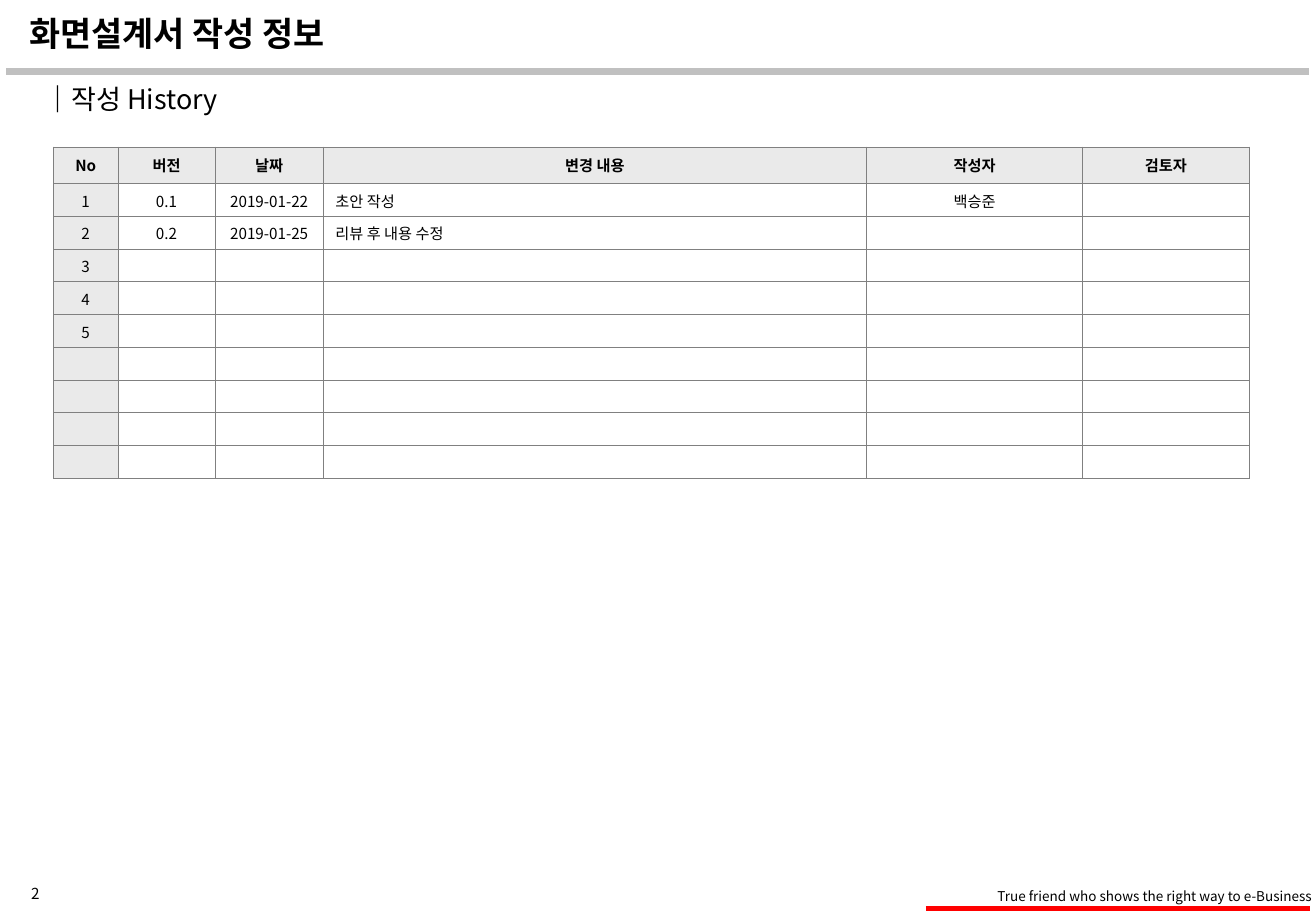
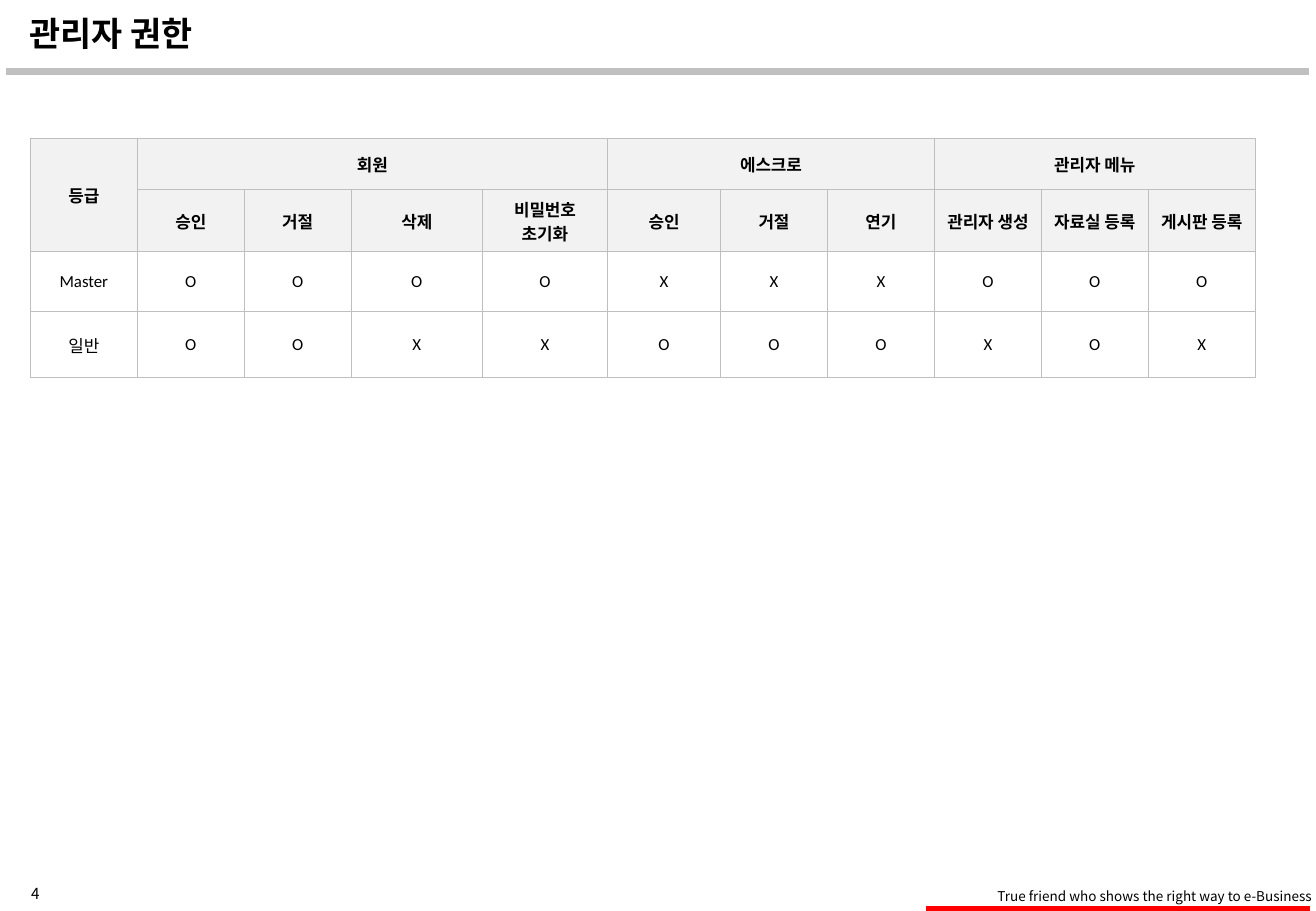
from dataclasses import dataclass

from lxml import etree
from pptx import Presentation
from pptx.dml.color import RGBColor
from pptx.enum import shapes, text
from pptx.oxml import ns
from pptx.util import Inches, Pt


@dataclass(frozen=True)
class Theme:
    font: str = "Noto Sans CJK KR"
    latin: str = "Calibri"
    ink: str = "000000"
    white: str = "FFFFFF"
    rule: str = "C0C0C0"
    accent: str = "FF0000"
    title: int = 20
    subtitle: int = 16
    matrix: int = 10
    body: int = 9
    footer: int = 8


@dataclass(frozen=True)
class TableStyle:
    font: str
    size: int
    border: str
    head: str
    margins: tuple  # left, top, right, bottom


T = Theme()
HISTORY_STYLE = TableStyle(T.font, T.body, "808080", "EAEAEA", (0.1, 0.05, 0.1, 0.05))
RIGHTS_STYLE = TableStyle(T.latin, T.matrix, "BFBFBF", "F2F2F2", (0.01, 0.01, 0.01, 0))

FOOTER = "True friend who shows the right way to e-Business"

HISTORY_HEAD = ["No", "버전", "날짜", "변경 내용", "작성자", "검토자"]
HISTORY = [
    ["1", "0.1", "2019-01-22", "초안 작성", "백승준", ""],
    ["2", "0.2", "2019-01-25", "리뷰 후 내용 수정", "", ""],
    ["3"], ["4"], ["5"],
]
HISTORY_ROWS = 9
HISTORY_WIDTHS = [0.53, 0.8, 0.89, 4.47, 1.78, 1.37]
CHANGE_COLUMN = 3

GRADE = "등급"
GROUPS = [
    ("회원", ["승인", "거절", "삭제", "비밀번호\n초기화"]),
    ("에스크로", ["승인", "거절", "연기"]),
    ("관리자 메뉴", ["관리자 생성", "자료실 등록", "게시판 등록"]),
]
RIGHTS = [("Master", "OOOOXXXOOO"), ("일반", "OOXXOOOXOX")]
RIGHTS_WIDTHS = [0.88, 0.88, 0.88, 1.08, 1.03, 0.93] + [0.88] * 5
RIGHTS_HEIGHTS = [0.42, 0.51, 0.49, 0.55]


def rgb(value):
    return RGBColor.from_string(value)


def style_run(r, size, bold=False, font=T.font):
    r.font.size, r.font.bold, r.font.name = Pt(size), bold, font
    r.font.color.rgb = rgb(T.ink)
    ea = etree.SubElement(r.font._element, ns.qn("a:ea"))
    ea.set("typeface", T.font)


def add_text(slide, box, value, size, align=text.PP_ALIGN.LEFT):
    sp = slide.shapes.add_textbox(*map(Inches, box))
    sp.text_frame.word_wrap = True
    p = sp.text_frame.paragraphs[0]
    p.text, p.alignment = value, align
    style_run(p.runs[0], size)
    return sp


def add_rule(slide, x1, x2, y, color, width):
    line = slide.shapes.add_connector(
        shapes.MSO_CONNECTOR.STRAIGHT, *map(Inches, (x1, y, x2, y)))
    line.line.color.rgb = rgb(color)
    line.line.width = Pt(width)
    etree.SubElement(line._element.spPr, ns.qn("a:effectLst"))


def add_page(prs, title, number):
    """Add a slide with the shared title, rules and footer."""
    slide = prs.slides.add_slide(prs.slide_layouts[5])
    add_rule(slide, 0.05, 10.77, 0.59, T.rule, 4.5)
    add_rule(slide, 7.62, 10.78, 7.48, T.accent, 3)
    footer = add_text(slide, (8.11, 7.26, 2.88, 0.24), FOOTER, T.footer)
    footer.text_frame.word_wrap = False
    footer.text_frame.auto_size = text.MSO_AUTO_SIZE.SHAPE_TO_FIT_TEXT
    page = add_text(slide, (0, 7.23, 0.58, 0.25), number, T.body, text.PP_ALIGN.CENTER)
    page.text_frame.vertical_anchor = text.MSO_ANCHOR.MIDDLE

    sp = slide.shapes.title
    sp.left, sp.top, sp.width, sp.height = map(Inches, (0.14, 0.06, 10.56, 0.46))
    tf = sp.text_frame
    tf.text = title
    tf.auto_size = text.MSO_AUTO_SIZE.NONE
    tf.vertical_anchor = text.MSO_ANCHOR.MIDDLE
    p = tf.paragraphs[0]
    p.alignment, p.line_spacing = text.PP_ALIGN.LEFT, 0.9
    style_run(p.runs[0], T.title, bold=True)
    return slide


def add_grid(slide, left, top, widths, heights):
    table = slide.shapes.add_table(
        len(heights), len(widths),
        *map(Inches, (left, top, sum(widths), sum(heights)))).table
    table.first_row = table.horz_banding = False
    for column, width in zip(table.columns, widths):
        column.width = Inches(width)
    for row, height in zip(table.rows, heights):
        row.height = Inches(height)
    return table


def set_cell(cell, value, style, fill, bold=False, align=text.PP_ALIGN.CENTER):
    (cell.margin_left, cell.margin_top,
     cell.margin_right, cell.margin_bottom) = map(Inches, style.margins)
    cell.vertical_anchor = text.MSO_ANCHOR.MIDDLE
    tcPr = cell._tc.get_or_add_tcPr()
    for side in "LRTB":
        ln = etree.SubElement(tcPr, ns.qn(f"a:ln{side}"), w=str(Pt(0.5)))
        color = etree.SubElement(ln, ns.qn("a:solidFill"))
        etree.SubElement(color, ns.qn("a:srgbClr"), val=style.border)
    cell.fill.solid()
    cell.fill.fore_color.rgb = rgb(fill)
    p = cell.text_frame.paragraphs[0]
    p.text, p.alignment = value, align
    for r in p.runs:
        style_run(r, style.size, bold, style.font)
    if not value:  # keeps an empty row as low as a filled one
        end = etree.SubElement(p._p, ns.qn("a:endParaRPr"), sz=str(style.size * 100))
        etree.SubElement(end, ns.qn("a:latin"), typeface=style.font)


def build_history(prs):
    slide = add_page(prs, "화면설계서 작성 정보", "2")
    heading = add_text(slide, (0.27, 0.63, 9.69, 0.46), "｜", T.subtitle)
    p = heading.text_frame.paragraphs[0]
    p.runs[0].font.bold = True
    r = p.add_run()
    r.text = "작성 History"
    style_run(r, T.subtitle)

    table = add_grid(slide, 0.44, 1.21, HISTORY_WIDTHS, [0.3] + [0.27] * HISTORY_ROWS)
    rows = [HISTORY_HEAD] + HISTORY + [[]] * (HISTORY_ROWS - len(HISTORY))
    for i, row in enumerate(rows):
        for j in range(len(HISTORY_HEAD)):
            is_head = i == 0
            left = j == CHANGE_COLUMN and not is_head
            set_cell(table.cell(i, j), row[j] if j < len(row) else "", HISTORY_STYLE,
                     HISTORY_STYLE.head if is_head or j == 0 else T.white, is_head,
                     text.PP_ALIGN.LEFT if left else text.PP_ALIGN.CENTER)


def build_rights(prs):
    slide = add_page(prs, "관리자 권한", "4")
    table = add_grid(slide, 0.25, 1.14, RIGHTS_WIDTHS, RIGHTS_HEIGHTS)
    top, sub = [GRADE], [""]
    for name, actions in GROUPS:
        first = len(top)
        top += [name] + [""] * (len(actions) - 1)
        sub += actions
        table.cell(0, first).merge(table.cell(0, len(top) - 1))
    table.cell(0, 0).merge(table.cell(1, 0))

    rows = [top, sub] + [[grade, *marks] for grade, marks in RIGHTS]
    for i, row in enumerate(rows):
        for j, value in enumerate(row):
            is_head = i < 2
            set_cell(table.cell(i, j), value, RIGHTS_STYLE,
                     RIGHTS_STYLE.head if is_head else T.white, is_head)


def main():
    prs = Presentation()
    prs.slide_width, prs.slide_height = Inches(10.83), Inches(7.5)
    build_history(prs)
    build_rights(prs)
    prs.save("out.pptx")


if __name__ == "__main__":
    main()
